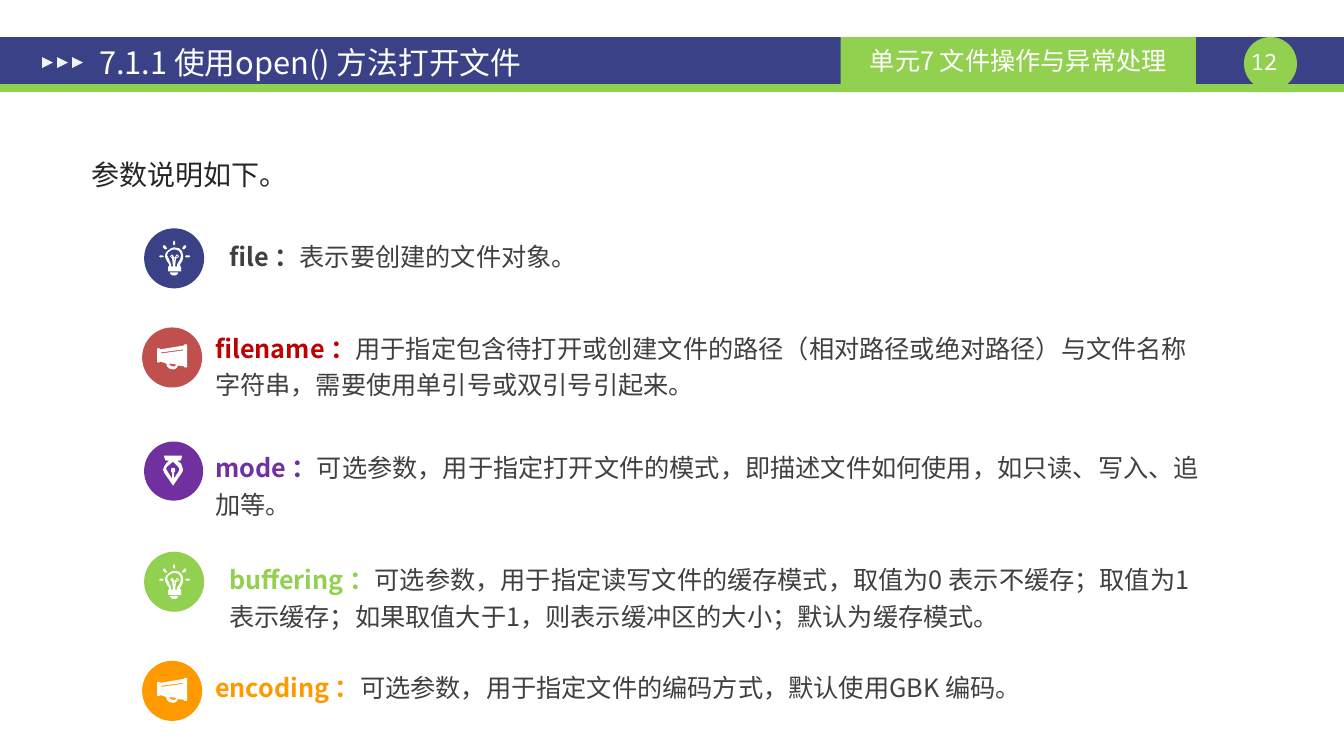
"""Build the slide that explains the parameters of open()."""
import pptx
import pptx.dml.color
import pptx.enum.shapes
import pptx.enum.text
import pptx.oxml.ns
import pptx.util

PX = 9080
FONT = "Noto Sans CJK SC"
NAVY, GREEN, WHITE, GREY = "3A4187", "92D050", "FFFFFF", "404040"
SHAPE = pptx.enum.shapes.MSO_SHAPE
ALIGN = pptx.enum.text.PP_ALIGN
ANCHOR = pptx.enum.text.MSO_ANCHOR

MEGAPHONE = [
    [(44, 17), (42, 17), (42, 18), (18, 22), (18, 21), (15, 21), (15, 35), (18, 35), (18, 34),
     (24, 36), (25, 39), (27, 41), (31, 42), (34, 41), (36, 38), (42, 39), (42, 40), (45, 40), (45, 17)],
    [(27, 36), (28, 38), (31, 39), (33, 39), (34, 37)],
    [(41, 23), (19, 26), (19, 25), (41, 22)],
]
PEN_NIB = [
    [(37, 22), (33, 19), (36, 19), (37, 18), (38, 15), (38, 14), (20, 14), (20, 15), (21, 18), (22, 19),
     (25, 19), (22, 22), (20, 25), (19, 28), (20, 31), (29, 44), (38, 31), (39, 28), (38, 25)],
    [(35, 29), (30, 37), (30, 31), (31, 30), (31, 27), (29, 26), (27, 27), (27, 30), (28, 31),
     (28, 37), (23, 29), (22, 27), (23, 25), (29, 20), (34, 25), (35, 27)],
]
BULB = [
    [(23, 20), (21, 17), (19, 17), (19, 19), (21, 21), (22, 21)],
    [(38, 20), (40, 17), (42, 17), (42, 19), (40, 21), (39, 21)],
    [(15, 28), (16, 27), (18, 27), (20, 28), (18, 29), (16, 29)],
    [(46, 28), (45, 27), (42, 27), (41, 28), (42, 29), (45, 29)],
    [(30, 12), (29, 14), (29, 16), (30, 17), (31, 16), (31, 14)],
    [(26, 44), (34, 44), (34, 45), (32, 47), (28, 47), (26, 45)],
    [(30, 19), (27, 20), (24, 22), (22, 24), (21, 27), (21, 29), (23, 33), (25, 36), (25, 38), (24, 38),
     (24, 43), (37, 43), (37, 38), (36, 38), (36, 36), (38, 33), (39, 30), (39, 27), (38, 23), (35, 20)],
    [(36, 31), (33, 36), (33, 38), (31, 38), (32, 30), (33, 30), (35, 28), (33, 26), (32, 27), (31, 29),
     (30, 29), (29, 27), (28, 26), (26, 28), (28, 30), (29, 38), (27, 38), (27, 36), (25, 31), (23, 27),
     (24, 24), (27, 22), (30, 21), (34, 22), (36, 24), (37, 27)],
    [(30, 34), (30, 30), (31, 30)],
    [(32, 29), (33, 27), (34, 28), (33, 29)],
    [(28, 29), (27, 28), (28, 27)],
]

presentation = pptx.Presentation()
presentation.slide_width = 1343 * PX
presentation.slide_height = 755 * PX
slide = presentation.slides.add_slide(presentation.slide_layouts[6])


def paint(shape, color):
    """Give a shape a plain fill without line or shadow."""
    shape.fill.solid()
    shape.fill.fore_color.rgb = pptx.dml.color.RGBColor.from_string(color)
    shape.line.fill.background()
    shape.shadow.inherit = False
    return shape


def write(shape, runs, size, font=FONT, align=ALIGN.LEFT, anchor=ANCHOR.TOP,
          insets=(10, 5, 10, 5), spacing=1.0, indent=0):
    """Fill a shape with one paragraph of (text, color, bold) runs."""
    frame = shape.text_frame
    frame.word_wrap = True
    frame.vertical_anchor = anchor
    frame.margin_left, frame.margin_top, frame.margin_right, frame.margin_bottom = [
        inset * PX for inset in insets]
    paragraph = frame.paragraphs[0]
    paragraph.alignment = align
    paragraph.line_spacing = spacing
    if indent:
        paragraph._p.get_or_add_pPr().set("indent", str(indent * PX))
    for text, color, bold in runs:
        run = paragraph.add_run()
        run.text = text
        run.font.size = pptx.util.Pt(size)
        run.font.bold = bold
        run.font.color.rgb = pptx.dml.color.RGBColor.from_string(color)
        run.font.name = font
        east_asian = run.font._element.makeelement(pptx.oxml.ns.qn("a:ea"), {"typeface": font})
        run.font._element.find(pptx.oxml.ns.qn("a:latin")).addnext(east_asian)


header_shapes = [
    (SHAPE.RECTANGLE, 0, 37, 1343, 47, NAVY),
    (SHAPE.RECTANGLE, 0, 84, 1343, 8, GREEN),
    (SHAPE.OVAL, 1243, 37, 53, 53, GREEN),
]
for kind, left, top, width, height, color in header_shapes:
    paint(slide.shapes.add_shape(kind, left * PX, top * PX, width * PX, height * PX), color)

page_number = slide.shapes.add_textbox(1243 * PX, 48 * PX, 53 * PX, 27 * PX)
write(page_number, [("12", WHITE, False)], 16, font="Noto Sans Mono", align=ALIGN.CENTER,
      insets=(0, 0, 13, 0))

unit_label = paint(slide.shapes.add_shape(SHAPE.RECTANGLE, 840 * PX, 37 * PX, 355 * PX, 47 * PX), GREEN)
write(unit_label, [("单元7 文件操作与异常处理", WHITE, False)], 18, align=ALIGN.CENTER, anchor=ANCHOR.MIDDLE)

for index in range(3):
    arrow = slide.shapes.add_shape(
        SHAPE.ISOSCELES_TRIANGLE, (42 + 15 * index) * PX, 57 * PX, 11 * PX, 11 * PX)
    arrow.rotation = 90
    paint(arrow, "F2F2F2")

title = slide.shapes.add_textbox(86 * PX, 40 * PX, 725 * PX, 44 * PX)
write(title, [("7.1.1 使用open() 方法打开文件", WHITE, False)], 22, anchor=ANCHOR.MIDDLE, insets=(13, 7, 13, 7))

intro = slide.shapes.add_textbox(31 * PX, 142 * PX, 1219 * PX, 50 * PX)
write(intro, [("参数说明如下。", "262626", False)], 20, spacing=1.32, indent=50)

parameters = [
    ("file ：", "表示要创建的文件对象。", BULB, NAVY, GREY, (144, 228, 60), (219, 230, 747, 43)),
    ("filename ：", "用于指定包含待打开或创建文件的路径（相对路径或绝对路径）与文件名称字符串，需要使用单引号或双引号引起来。",
     MEGAPHONE, "C0504D", "C00000", (142, 327, 60), (205, 322, 1011, 84)),
    ("mode ：", "可选参数，用于指定打开文件的模式，即描述文件如何使用，如只读、写入、追加等。",
     PEN_NIB, "7030A0", "7030A0", (144, 441, 59), (205, 441, 1011, 84)),
    ("buffering ：", "可选参数，用于指定读写文件的缓存模式，取值为0 表示不缓存；取值为1 表示缓存；如果取值大于1，则表示缓冲区的大小；默认为缓存模式。",
     BULB, GREEN, GREEN, (144, 551, 60), (219, 553, 999, 84)),
    ("encoding ：", "可选参数，用于指定文件的编码方式，默认使用GBK 编码。",
     MEGAPHONE, "FF9900", "FF9900", (142, 660, 60), (205, 660, 1011, 43)),
]
for name, description, icon, disc_color, name_color, (left, top, size), box in parameters:
    paint(slide.shapes.add_shape(SHAPE.OVAL, left * PX, top * PX, size * PX, size * PX), disc_color)
    builder = slide.shapes.build_freeform(*icon[0][0], scale=PX)
    for contour in icon:
        if contour is not icon[0]:
            builder.move_to(*contour[0])
        builder.add_line_segments(contour[1:], close=True)
    paint(builder.convert_to_shape(left * PX, top * PX), WHITE)
    label = slide.shapes.add_textbox(*[length * PX for length in box])
    write(label, [(name, name_color, True), (description, GREY, False)], 18, spacing=1.2)

presentation.save("out.pptx")
